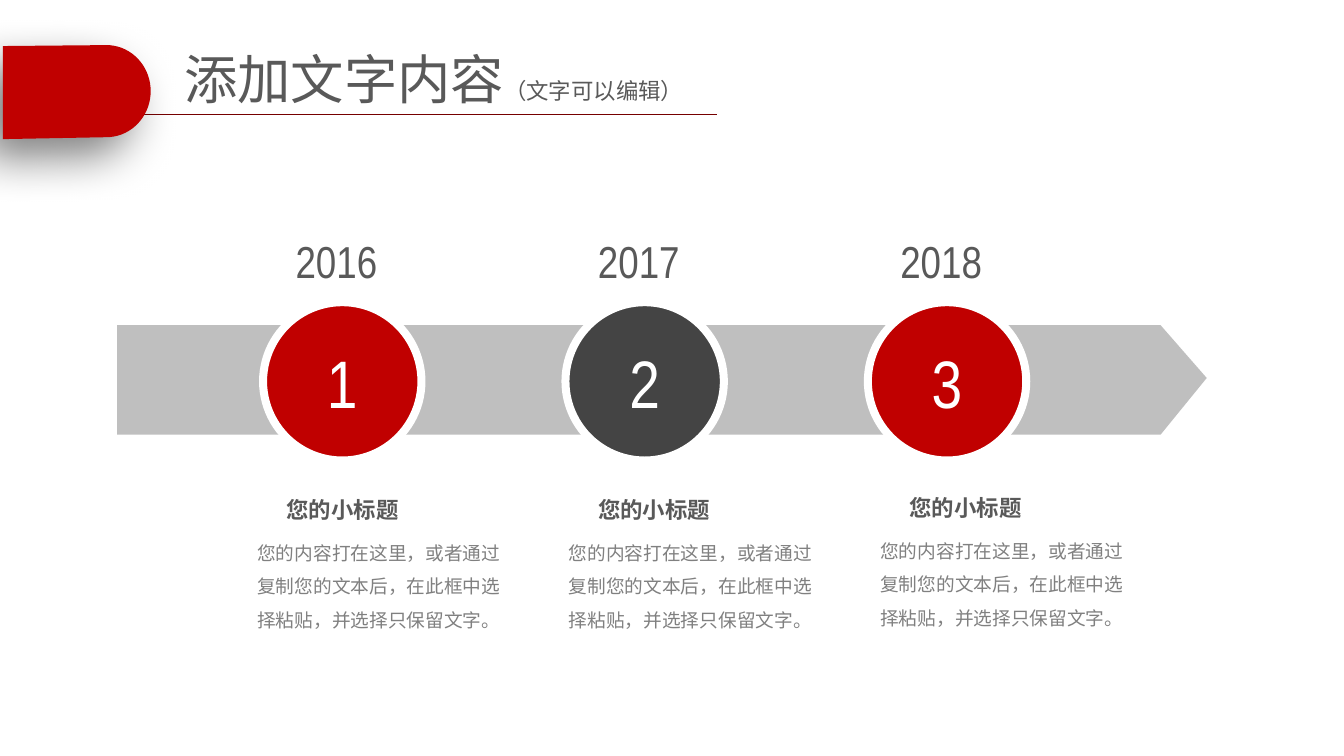
import math
import pptx
import pptx.util
import pptx.dml.color
import pptx.enum.shapes
import pptx.enum.text
import pptx.oxml
import pptx.oxml.ns

RGBColor = pptx.dml.color.RGBColor
Align = pptx.enum.text.PP_ALIGN
Anchor = pptx.enum.text.MSO_ANCHOR
RED = RGBColor(0xC0, 0x00, 0x00)
DARK_RED = RGBColor(0x76, 0x00, 0x00)
CHARCOAL = RGBColor(0x44, 0x44, 0x44)
HEADING = RGBColor(0x59, 0x59, 0x59)
BODY = RGBColor(0x80, 0x80, 0x80)
BAND = RGBColor(0xBF, 0xBF, 0xBF)
WHITE = RGBColor(0xFF, 0xFF, 0xFF)
CJK_FONT = "Noto Sans CJK SC"
NUMBER_FONT = "Arial Narrow"
COLUMNS, ROWS = 140, 78.8


class SlideBuilder:
    def __init__(self, presentation):
        self.slide = presentation.slides.add_slide(presentation.slide_layouts[5])
        self.column = presentation.slide_width / COLUMNS
        self.row = presentation.slide_height / ROWS

    def position(self, column, row):
        return round(column * self.column), round(row * self.row)

    def box(self, column, row, width, height):
        return self.position(column, row) + self.position(width, height)

    def format_run(self, run, size, color, font=CJK_FONT, bold=False):
        run.font.size = pptx.util.Pt(size)
        run.font.name = font
        run.font.bold = bold
        run.font.color.rgb = color
        east_asian = pptx.oxml.parse_xml(
            f'<a:ea {pptx.oxml.ns.nsdecls("a")} typeface="{CJK_FONT}"/>')
        run.font._element.find(pptx.oxml.ns.qn("a:latin")).addnext(east_asian)

    def set_margins(self, frame, horizontal, vertical):
        frame.margin_left = frame.margin_right = pptx.util.Inches(horizontal)
        frame.margin_top = frame.margin_bottom = pptx.util.Inches(vertical)

    def title(self, box, parts):
        shape = self.slide.shapes.title
        shape.left, shape.top, shape.width, shape.height = self.box(*box)
        frame = shape.text_frame
        frame.auto_size = pptx.enum.text.MSO_AUTO_SIZE.NONE
        frame.vertical_anchor = Anchor.MIDDLE
        self.set_margins(frame, 0.12, 0.06)
        paragraph = frame.paragraphs[0]
        paragraph.alignment = Align.LEFT
        for text, size in parts:
            run = paragraph.add_run()
            run.text = text
            self.format_run(run, size, HEADING, "Arial")

    def text(self, box, text, size, color, font=CJK_FONT, bold=False,
             align=Align.LEFT, wrap=False, spacing=1.0, margins=(0.1, 0.05)):
        frame = self.slide.shapes.add_textbox(*self.box(*box)).text_frame
        frame.word_wrap = wrap
        self.set_margins(frame, *margins)
        frame.text = text
        paragraph = frame.paragraphs[0]
        paragraph.alignment = align
        paragraph.line_spacing = spacing
        self.format_run(paragraph.runs[0], size, color, font, bold)

    def line(self, start, end, color, width):
        connector = self.slide.shapes.add_connector(
            pptx.enum.shapes.MSO_CONNECTOR.STRAIGHT,
            *self.position(*start), *self.position(*end))
        connector.line.color.rgb = color
        connector.line.width = pptx.util.Pt(width)
        connector._element.spPr.append(
            pptx.oxml.parse_xml(f'<a:effectLst {pptx.oxml.ns.nsdecls("a")}/>'))

    def polygon(self, points, color):
        corners = [self.position(*point) for point in points]
        builder = self.slide.shapes.build_freeform(*corners[0])
        builder.add_line_segments(corners[1:], close=True)
        shape = builder.convert_to_shape()
        shape.shadow.inherit = False
        shape.fill.solid()
        shape.fill.fore_color.rgb = color
        shape.line.fill.background()
        return shape

    def drop_shadow(self, shape, blur, distance, angle, opacity):
        effects = shape._element.spPr.find(pptx.oxml.ns.qn("a:effectLst"))
        effects.append(pptx.oxml.parse_xml(
            f'<a:outerShdw {pptx.oxml.ns.nsdecls("a")} blurRad="{pptx.util.Pt(blur)}" '
            f'dist="{pptx.util.Pt(distance)}" dir="{angle * 60000}" algn="tr" '
            f'rotWithShape="0"><a:srgbClr val="000000">'
            f'<a:alpha val="{opacity * 1000}"/></a:srgbClr></a:outerShdw>'))

    def circle(self, column, row, diameter, label, color):
        shape = self.slide.shapes.add_shape(
            pptx.enum.shapes.MSO_SHAPE.OVAL, *self.box(column, row, diameter, diameter))
        shape.shadow.inherit = False
        shape.fill.solid()
        shape.fill.fore_color.rgb = color
        shape.line.color.rgb = WHITE
        shape.line.width = pptx.util.Pt(6)
        frame = shape.text_frame
        frame.word_wrap = False
        frame.vertical_anchor = Anchor.MIDDLE
        self.set_margins(frame, 0, 0)
        frame.text = label
        frame.paragraphs[0].alignment = Align.CENTER
        self.format_run(frame.paragraphs[0].runs[0], 50.4, WHITE, NUMBER_FONT)


presentation = pptx.Presentation()
presentation.slide_width = pptx.util.Inches(14)
presentation.slide_height = pptx.util.Inches(7.88)
builder = SlideBuilder(presentation)

builder.line((9.2, 11.9), (74.7, 11.9), DARK_RED, 0.75)
angles = [math.radians(degrees) for degrees in range(-90, 91, 5)]
tab_end = [(11.1 + 4.6 * math.cos(angle), 9.5 + 4.8 * math.sin(angle)) for angle in angles]
tab = builder.polygon([(0.3, 4.8), *tab_end, (0.3, 14.5)], RED)
builder.drop_shadow(tab, blur=35, distance=20, angle=135, opacity=50)
builder.title((18, 3.2, 94.7, 9.9), [("添加文字内容", 40), ("（文字可以编辑）", 16.8)])

builder.polygon([(12.2, 33.9), (120.9, 33.9), (125.7, 39.4),
                 (120.9, 45.3), (12.2, 45.3)], BAND)

BODY_TEXT = "您的内容打在这里，或者通过复制您的文本后，在此框中选择粘贴，并选择只保留文字。"
milestones = [("2016", RED, 0), ("2017", CHARCOAL, 0), ("2018", RED, -0.2)]
for index, (year, color, text_shift) in enumerate(milestones):
    marker_shift = 31.5 * index
    text_column = 25.2 + 32.45 * index
    builder.circle(27.4 + marker_shift, 31.5, 16.5, str(index + 1), color)
    builder.text((29.8 + marker_shift, 23.9, 10.5, 6.7), year, 33.6, HEADING, NUMBER_FONT)
    builder.text((text_column, 54.5 + text_shift, 30.3, 11.6), BODY_TEXT, 14, BODY,
                 wrap=True, spacing=1.5, margins=(0.16, 0.08))
    builder.text((text_column + 3.5, 51.2 + text_shift, 13.8, 3.8), "您的小标题",
                 16.8, HEADING, bold=True, align=Align.RIGHT)

presentation.save("out.pptx")
